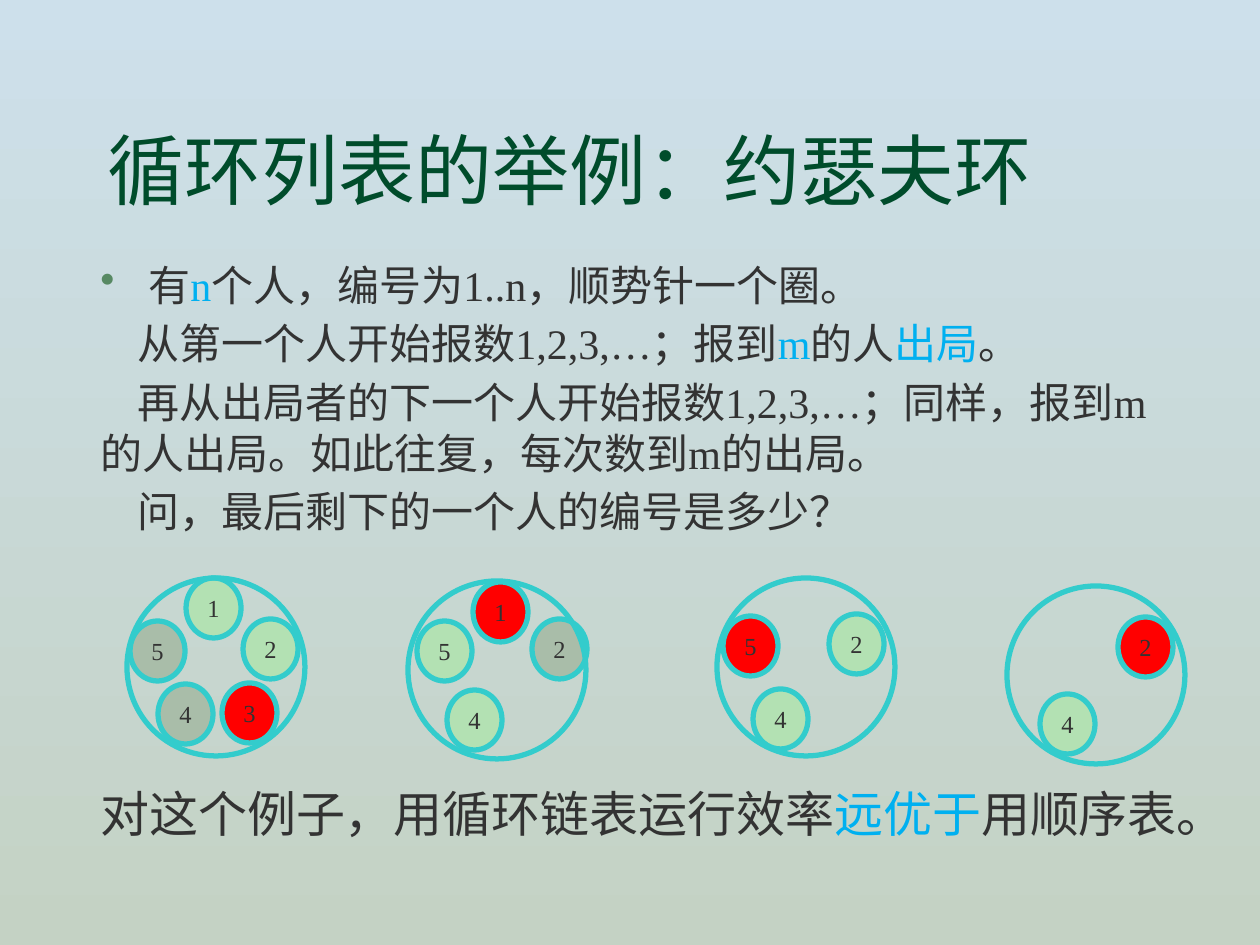
from lxml.etree import SubElement
from pptx import Presentation
from pptx.dml.color import RGBColor as RGB
from pptx.enum.shapes import MSO_SHAPE as Kind
from pptx.enum.text import MSO_ANCHOR as Anchor, PP_ALIGN as Align
from pptx.oxml.ns import qn
from pptx.util import Emu, Pt

SCALE = 914400 / 126
FONT = "Times New Roman"
HUES = {
    "sky": "CDE0EB", "field": "C4D2C4", "title": "004C2B", "text": "333333",
    "key": "00B0F0", "dot": "578963", "line": "33CCCC",
    "in": "B3E1B3", "out": "FF0000", "next": "A9BDA9",
}
RULES = [
    [("有", "text"), ("n", "key"), ("个人，编号为1..n，顺势针一个圈。", "text")],
    [("从第一个人开始报数1,2,3,…；报到", "text"), ("m", "key"), ("的人", "text"),
     ("出局", "key"), ("。", "text")],
    [("再从出局者的下一个人开始报数1,2,3,…；同样，报到m\n"
      "的人出局。如此往复，每次数到m的出局。", "text")],
    [("问，最后剩下的一个人的编号是多少？", "text")],
]
CLOSE = [[("对这个例子，用循环链表运行效率", "text"), ("远优于", "key"),
          ("用顺序表。", "text")]]
RINGS = [
    (127, 578, [("1", 186, 578, "in"), ("2", 243, 619, "in"), ("3", 222, 683, "out"),
                ("4", 158, 684, "next"), ("5", 130, 621, "next")]),
    (408, 581, [("1", 473, 582, "out"), ("2", 532, 619, "next"),
                ("4", 447, 690, "in"), ("5", 417, 621, "in")]),
    (717, 578, [("2", 829, 614, "in"), ("4", 753, 689, "in"), ("5", 723, 616, "out")]),
    (1007, 586, [("2", 1118, 617, "out"), ("4", 1040, 694, "in")]),
]


def px(*vals):
    """Turn px lengths into EMU."""
    return [Emu(round(val * SCALE)) for val in vals]


def hue(name):
    """Look up a colour by name."""
    return RGB.from_string(HUES[name])


def style(item, **form):
    """Set attributes from format values."""
    for key, val in form.items():
        setattr(item, key, val)


def write(para, parts, size):
    """Add coloured runs, with a line break at each newline."""
    for text, tone in parts:
        for num, line in enumerate(text.split("\n")):
            if num:
                para.add_line_break()
            run = para.add_run()
            run.text = line
            style(run.font, name=FONT, size=Pt(size))
            run.font.color.rgb = hue(tone)


def indent(para, left, first):
    """Set the left margin and the first line indent."""
    props = para._p.get_or_add_pPr()
    for key, val in zip(("marL", "indent"), px(left, first)):
        props.set(key, str(val))


def bullet(para):
    """Give a paragraph a coloured bullet."""
    props = para._p.get_or_add_pPr()
    tint = SubElement(props, qn("a:buClr"))
    SubElement(tint, qn("a:srgbClr"), val=HUES["dot"])
    SubElement(props, qn("a:buChar"), char="•")


def paint(slide):
    """Fill the background with a vertical gradient."""
    fill = slide.background.fill
    fill.gradient()
    fill.gradient_angle = 270
    for stop, name in zip(fill.gradient_stops, ("sky", "field")):
        stop.color.rgb = hue(name)


def head(slide, text):
    """Place and format the title."""
    title = slide.shapes.title
    spot = zip(("left", "top", "width", "height"), px(95, 63, 1071, 158))
    style(title, **dict(spot))
    title.text_frame.vertical_anchor = Anchor.BOTTOM
    para = title.text_frame.paragraphs[0]
    para.alignment = Align.LEFT
    write(para, [(text, "title")], 44)


def prose(slide, box, rows, size):
    """Add a text box with one paragraph per row."""
    frame = slide.shapes.add_textbox(*px(*box)).text_frame
    frame.word_wrap = True
    for num, row in enumerate(rows):
        para = frame.add_paragraph() if num else frame.paragraphs[0]
        para.space_before = Pt(size * 0.2 if num else 0)
        write(para, row, size)
    return frame.paragraphs


def disc(slide, box, tone=None):
    """Add an outlined ellipse, filled if a tone is given."""
    shape = slide.shapes.add_shape(Kind.OVAL, *px(*box))
    shape.shadow.inherit = False
    shape.line.color.rgb = hue("line")
    shape.line.width = Pt(3)
    if tone:
        shape.fill.solid()
        shape.fill.fore_color.rgb = hue(tone)
    else:
        shape.fill.background()
    return shape


def ring(slide, left, top, crew):
    """Draw the people of one round and the ring around them."""
    for label, x, y, tone in crew:
        frame = disc(slide, (x, y, 55, 60), tone).text_frame
        style(frame, word_wrap=False, vertical_anchor=Anchor.MIDDLE)
        para = frame.paragraphs[0]
        para.alignment = Align.CENTER
        write(para, [(label, "text")], 14)
    disc(slide, (left, top, 178, 178))


def main():
    """Build the slide."""
    deck = Presentation()
    deck.slide_width, deck.slide_height = px(1260, 945)
    slide = deck.slides.add_slide(deck.slide_layouts[5])
    paint(slide)
    head(slide, "循环列表的举例：约瑟夫环")
    first, *rest = prose(slide, (88, 253, 1172, 300), RULES, 24)
    indent(first, 48, -48)
    bullet(first)
    for para in rest:
        indent(para, 0, 37)
    prose(slide, (88, 777, 1172, 71), CLOSE, 28)
    for left, top, crew in RINGS:
        ring(slide, left, top, crew)
    deck.save("out.pptx")


if __name__ == "__main__":
    main()
